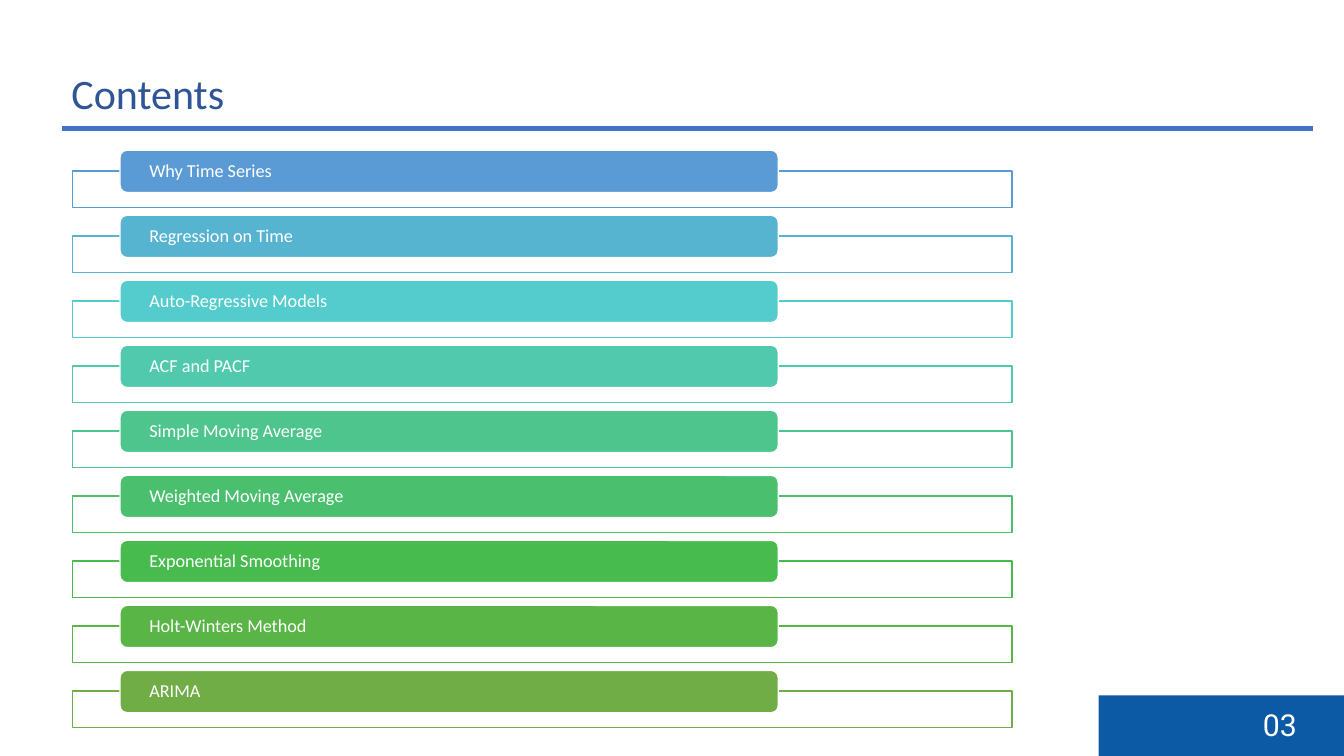
"""Build the contents slide: a title, a rule, nine topic bars and a page number."""
import dataclasses

import lxml.etree
import pptx
import pptx.dml.color
import pptx.dml.fill
import pptx.enum.shapes
import pptx.enum.text
import pptx.oxml.ns
import pptx.shapes.autoshape
import pptx.slide
import pptx.text.text
import pptx.util

SLIDE_WIDTH = pptx.util.Inches(13.333)
SLIDE_HEIGHT = pptx.util.Inches(7.5)
RECTANGLE = pptx.enum.shapes.MSO_SHAPE.RECTANGLE
ROUNDED = pptx.enum.shapes.MSO_SHAPE.ROUNDED_RECTANGLE
WHITE = "FFFFFF"
TOPIC_PITCH = 8.6
TAB_INSET = 2.03


@dataclasses.dataclass(frozen=True)
class Area:
    """A place on a grid of 100 columns by 100 rows."""

    column: float
    row: float
    columns: float
    rows: float

    def lowered(self, rows: float) -> "Area":
        """Return the same area moved down by some rows."""
        return dataclasses.replace(self, row=self.row + rows)

    def bounds(self) -> tuple[int, int, int, int]:
        """Return left, top, width and height as slide lengths."""
        return (across(self.column), down(self.row), across(self.columns), down(self.rows))


@dataclasses.dataclass(frozen=True)
class Topic:
    """One entry of the contents list."""

    name: str
    color: str


@dataclasses.dataclass(frozen=True)
class Label:
    """A free-standing line of text."""

    text: str
    area: Area
    size: float
    font: str
    color: str


TOPICS = (
    Topic("Why Time Series", "5B9BD5"),
    Topic("Regression on Time", "57B4D1"),
    Topic("Auto-Regressive Models", "54CCCD"),
    Topic("ACF and PACF", "51C9AD"),
    Topic("Simple Moving Average", "4DC58D"),
    Topic("Weighted Moving Average", "4AC06E"),
    Topic("Exponential Smoothing", "48BB4F"),
    Topic("Holt-Winters Method", "59B546"),
    Topic("ARIMA", "70AD47"),
)
LABELS = (
    Label("Contents", Area(4.58, 8.27, 12.98, 8.13), 30, "Calibri", "2F5597"),
    Label("03", Area(93.23, 92.8, 4.05, 6.13), 21.6, "Roboto", WHITE),
)
FOOTER = Area(81.75, 92, 18.25, 8)
TITLE_RULE = Area(4.58, 16.53, 93.15, 0.93)
FRAME = Area(5.4, 22.63, 69.9, 4.8)
TAB = Area(8.93, 19.87, 48.98, 5.6)


def across(columns: float) -> int:
    """Turn grid columns into a length."""
    return round(SLIDE_WIDTH * columns / 100)


def down(rows: float) -> int:
    """Turn grid rows into a length."""
    return round(SLIDE_HEIGHT * rows / 100)


def paint(color_format: pptx.dml.fill.FillFormat, color: str) -> None:
    """Fill with a solid colour given as a hex string."""
    color_format.solid()
    color_format.fore_color.rgb = pptx.dml.color.RGBColor.from_string(color)


def add_block(
    slide: pptx.slide.Slide, kind: int, area: Area, fill: str, line: str | None = None
) -> pptx.shapes.autoshape.Shape:
    """Add a flat filled shape, outlined if a line colour is given."""
    shape = slide.shapes.add_shape(kind, *area.bounds())
    shape.shadow.inherit = False
    paint(shape.fill, fill)
    if line is None:
        shape.line.fill.background()
    else:
        paint(shape.line.fill, line)
        shape.line.width = pptx.util.Pt(1)
    return shape


def set_opacity(shape: pptx.shapes.autoshape.Shape, percent: int) -> None:
    """Set the opacity of a solid fill."""
    name = pptx.oxml.ns.qn
    color = shape.fill._xPr.find(name("a:solidFill")).find(name("a:srgbClr"))
    lxml.etree.SubElement(color, name("a:alpha")).set("val", str(percent * 1000))


def add_run(
    paragraph: pptx.text.text._Paragraph, text: str, size: float, font: str, color: str
) -> None:
    """Append one formatted run to a paragraph."""
    run = paragraph.add_run()
    run.text = text
    run.font.size = pptx.util.Pt(size)
    run.font.name = font
    paint(run.font.fill, color)


def add_label(slide: pptx.slide.Slide, label: Label) -> None:
    """Add a text box that fits its single line."""
    frame = slide.shapes.add_textbox(*label.area.bounds()).text_frame
    frame.word_wrap = False
    frame.auto_size = pptx.enum.text.MSO_AUTO_SIZE.SHAPE_TO_FIT_TEXT
    add_run(frame.paragraphs[0], label.text, label.size, label.font, label.color)


def add_topic(slide: pptx.slide.Slide, topic: Topic, index: int) -> None:
    """Add the outlined frame and the coloured tab of one topic."""
    offset = index * TOPIC_PITCH
    set_opacity(add_block(slide, RECTANGLE, FRAME.lowered(offset), WHITE, topic.color), 90)
    tab = add_block(slide, ROUNDED, TAB.lowered(offset), topic.color, WHITE)
    frame = tab.text_frame
    frame.word_wrap = True
    frame.vertical_anchor = pptx.enum.text.MSO_ANCHOR.MIDDLE
    frame.margin_left = frame.margin_right = across(TAB_INSET)
    frame.margin_top = frame.margin_bottom = 0
    paragraph = frame.paragraphs[0]
    paragraph.alignment = pptx.enum.text.PP_ALIGN.LEFT
    paragraph.line_spacing = 0.9
    add_run(paragraph, topic.name, 13, "Calibri", WHITE)


def main() -> None:
    """Build and save the presentation."""
    presentation = pptx.Presentation()
    presentation.slide_width = SLIDE_WIDTH
    presentation.slide_height = SLIDE_HEIGHT
    slide = presentation.slides.add_slide(presentation.slide_layouts[6])
    paint(slide.background.fill, WHITE)
    add_block(slide, RECTANGLE, FOOTER, "0C5AA5")
    for label in LABELS:
        add_label(slide, label)
    add_block(slide, RECTANGLE, TITLE_RULE, "4472C4", WHITE)
    for index, topic in enumerate(TOPICS):
        add_topic(slide, topic, index)
    presentation.save("out.pptx")


if __name__ == "__main__":
    main()
